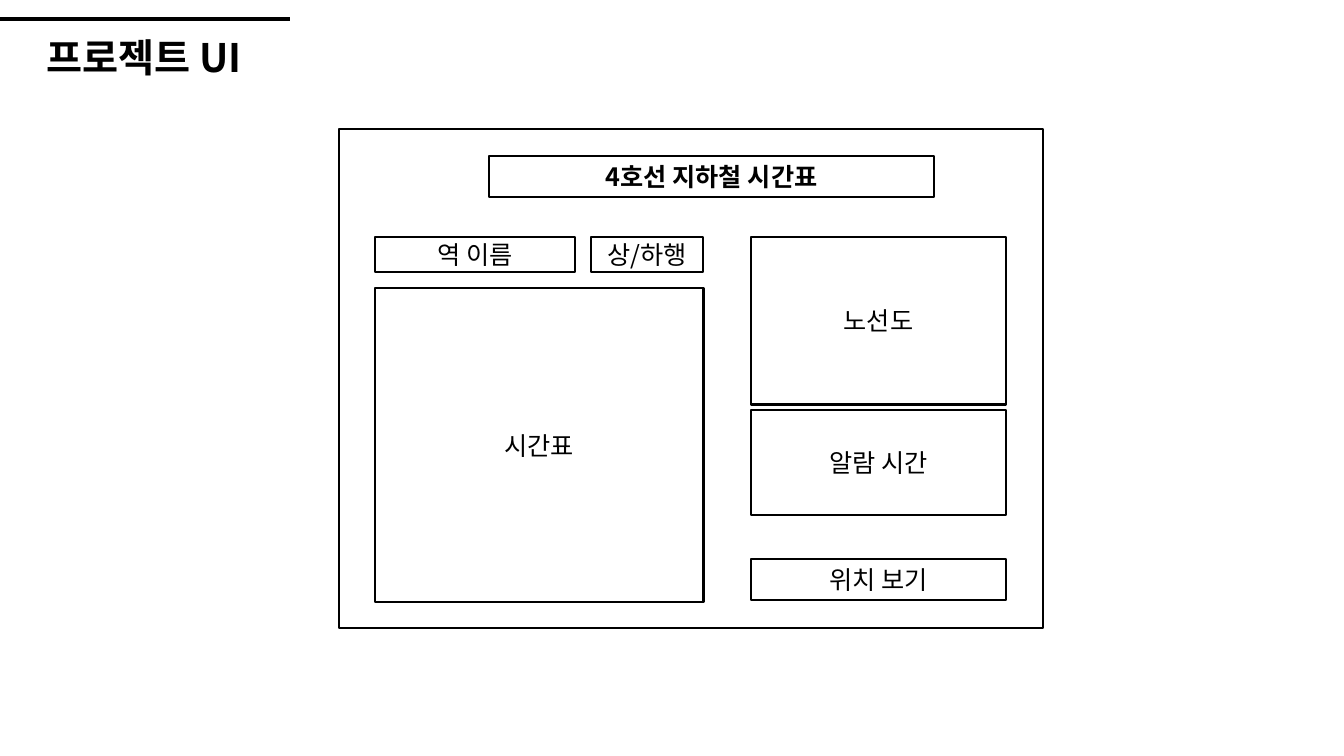
from dataclasses import dataclass

from lxml.etree import SubElement
from pptx import Presentation
from pptx.dml.color import RGBColor
from pptx.enum.shapes import MSO_CONNECTOR, MSO_SHAPE
from pptx.enum.text import MSO_ANCHOR, PP_ALIGN
from pptx.oxml.ns import qn
from pptx.util import Pt


@dataclass(frozen=True)
class Theme:
    font: str = "Noto Sans CJK KR"
    ink: RGBColor = RGBColor(0, 0, 0)
    paper: RGBColor = RGBColor(255, 255, 255)
    title_size: float = 28
    label_size: float = 18
    box_line: float = 1.5
    rule_line: float = 3


class SlideBuilder:
    def __init__(self, slide, theme):
        self.slide = slide
        self.theme = theme

    def set_text(self, shape, text, size, align, bold):
        frame = shape.text_frame
        for name, value in {"word_wrap": True, "vertical_anchor": MSO_ANCHOR.MIDDLE}.items():
            setattr(frame, name, value)
        paragraph = frame.paragraphs[0]
        paragraph.alignment = align
        run = paragraph.add_run()
        run.text = text
        font_format = {"name": self.theme.font, "size": Pt(size), "bold": bold}
        for name, value in font_format.items():
            setattr(run.font, name, value)
        run.font.color.rgb = self.theme.ink
        # Korean glyphs take the East Asian typeface
        SubElement(run.font._element, qn("a:ea"), typeface=self.theme.font)

    def title(self, text, left, top, width, height):
        shape = self.slide.shapes.add_textbox(Pt(left), Pt(top), Pt(width), Pt(height))
        self.set_text(shape, text, self.theme.title_size, PP_ALIGN.LEFT, True)

    def rule(self, left, top, width):
        line = self.slide.shapes.add_connector(
            MSO_CONNECTOR.STRAIGHT, Pt(left), Pt(top), Pt(left + width), Pt(top))
        line.line.width = Pt(self.theme.rule_line)
        line.line.color.rgb = self.theme.ink
        SubElement(line._element.spPr, qn("a:effectLst"))

    def box(self, left, top, width, height, text="", bold=False, filled=False):
        shape = self.slide.shapes.add_shape(
            MSO_SHAPE.RECTANGLE, Pt(left), Pt(top), Pt(width), Pt(height))
        shape.shadow.inherit = False
        if filled:
            shape.fill.solid()
            shape.fill.fore_color.rgb = self.theme.paper
        else:
            shape.fill.background()
        shape.line.width = Pt(self.theme.box_line)
        shape.line.color.rgb = self.theme.ink
        if text:
            self.set_text(shape, text, self.theme.label_size, PP_ALIGN.CENTER, bold)


presentation = Presentation()
presentation.slide_width, presentation.slide_height = Pt(960), Pt(540)
slide = presentation.slides.add_slide(presentation.slide_layouts[6])
builder = SlideBuilder(slide, Theme())

# Heading
builder.rule(0, 13.5, 207.5)
builder.title("프로젝트 UI", 26, 20, 167, 41)

# Application window
builder.box(242, 92, 503, 356.5, filled=True)

# Left column: timetable below its two selectors
left, left_width = 268, 234.5
top, selector_height = 169, 25.5
station_width, direction_width = 142.5, 80.5
builder.box(left, 206, left_width, 224, "시간표")
builder.box(left, top, station_width, selector_height, "역 이름")
builder.box(left + left_width - direction_width, top, direction_width,
            selector_height, "상/하행")

# Banner
builder.box(349, 111.5, 318.5, 29, "4호선 지하철 시간표", bold=True)

# Right column: panels with their tops and heights
for text, panel_top, height in [
    ("알람 시간", 293, 75),
    ("위치 보기", 399, 29.5),
    ("노선도", top, 120),
]:
    builder.box(536.5, panel_top, 182, height, text)

presentation.save("out.pptx")
